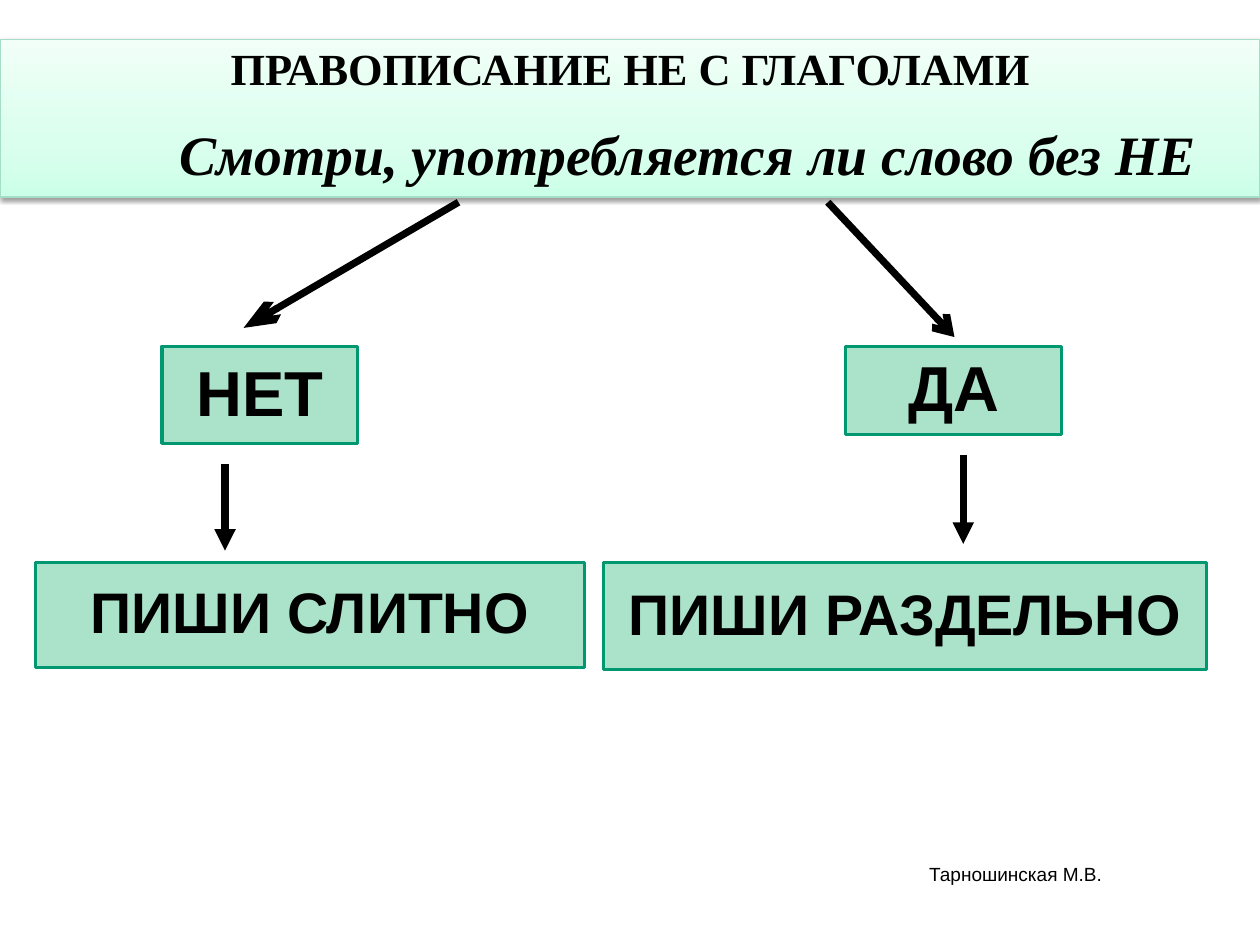
"""Spelling scheme: the particle НЕ with verbs, a two-way decision."""
from copy import deepcopy
from lxml import etree
from pptx import Presentation, util as u
from pptx.dml.color import RGBColor
from pptx.enum import shapes, text
from pptx.oxml import parse_xml
from pptx.oxml.ns import qn, nsdecls

THEME = dict(ink="000000", box="AAE2CA", edge="009771", banner_edge="A5DEC6",
             gradient=("CCFFE8", "DAFFEE", "F1FFF8"), sans="Arial", serif="Times New Roman",
             title=28, rule=35, answer=40, advice=36, author=12)

prs = Presentation()
prs.slide_width, prs.slide_height = u.Cm(28), u.Cm(21)
s = prs.slides.add_slide(prs.slide_layouts[6])


def share(*percents):
    """Turn alternating x and y percents of the slide into lengths."""
    return [round(v * side / 100) for v, side in zip(percents, (prs.slide_width, prs.slide_height) * 2)]


def style(p, size, font, bold=True, italic=False, align=text.PP_ALIGN.CENTER):
    """Format a paragraph and its runs."""
    p.alignment, p.line_spacing = align, 0.93
    for r in p.runs:
        f = r.font
        f.name, f.size, f.bold, f.italic = font, u.Pt(size), bold, italic
        f.color.rgb = RGBColor.from_string(THEME["ink"])


banner = s.shapes.add_shape(shapes.MSO_SHAPE.RECTANGLE, *share(0, 4.16, 100, 16.69))
banner.line.color.rgb = RGBColor.from_string(THEME["banner_edge"])
banner.line.width = u.Pt(0.75)
banner.fill.gradient()
banner.fill.gradient_angle = 90
first = banner._element.spPr.find(".//" + qn("a:gs"))
first.addnext(deepcopy(first))
for stop, position, color in zip(banner.fill.gradient_stops, (0, 0.35, 1), THEME["gradient"]):
    stop.position = position
    stop.color.rgb = RGBColor.from_string(color)
banner.shadow.inherit = False
banner._element.spPr.find(qn("a:effectLst")).append(parse_xml(
    f'<a:outerShdw {nsdecls("a")} blurRad="39370" dist="20320" dir="5400000" rotWithShape="0">'
    f'<a:srgbClr val="{THEME["ink"]}"><a:alpha val="38000"/></a:srgbClr></a:outerShdw>'))

tf = banner.text_frame
tf.vertical_anchor = text.MSO_ANCHOR.TOP
tf.margin_left = tf.margin_right = u.Inches(0.11)
tf.margin_top = tf.margin_bottom = u.Inches(0.06)
tf.text = "ПРАВОПИСАНИЕ НЕ С ГЛАГОЛАМИ\nСмотри, употребляется ли слово без НЕ"
title, rule = tf.paragraphs
style(title, THEME["title"], THEME["serif"])
style(rule, THEME["rule"], THEME["serif"], italic=True, align=text.PP_ALIGN.LEFT)
rule.space_before = u.Pt(19)
rule._p.get_or_add_pPr().set("marL", str(u.Inches(1.46)))

for label, size, place in (
        ("НЕТ", "answer", (12.86, 36.64, 15.52, 10.28)),
        ("ДА", "answer", (67.13, 36.64, 17.15, 9.35)),
        ("ПИШИ СЛИТНО", "advice", (2.81, 59.49, 43.56, 11.12)),
        ("ПИШИ РАЗДЕЛЬНО", "advice", (47.87, 59.49, 47.89, 11.37))):
    sp = s.shapes.add_shape(shapes.MSO_SHAPE.RECTANGLE, *share(*place))
    sp.shadow.inherit = False
    sp.fill.solid()
    sp.fill.fore_color.rgb = RGBColor.from_string(THEME["box"])
    sp.line.color.rgb = RGBColor.from_string(THEME["edge"])
    sp.line.width = u.Pt(2)
    sp.text_frame.text = label
    sp.text_frame.vertical_anchor = text.MSO_ANCHOR.MIDDLE
    style(sp.text_frame.paragraphs[0], THEME[size], THEME["sans"])

for head, length, ends in (
        ("arrow", "lg", (36.39, 21.4, 19.33, 34.7)),
        ("arrow", "med", (65.7, 21.4, 75.75, 35.67)),
        ("triangle", "med", (17.86, 49.09, 17.86, 58.28)),
        ("triangle", "med", (76.45, 48.1, 76.45, 57.56))):
    arrow = s.shapes.add_connector(shapes.MSO_CONNECTOR.STRAIGHT, *share(*ends))
    arrow.line.color.rgb = RGBColor.from_string(THEME["ink"])
    arrow.line.width = u.Pt(4.5)
    etree.SubElement(arrow.line._get_or_add_ln(), qn("a:tailEnd"), type=head, len=length)
    etree.SubElement(arrow._element.spPr, qn("a:effectLst"))

author = s.shapes.add_textbox(*share(72.85, 90.93, 15.7, 3.51))
author.text_frame.text = "Тарношинская М.В."
author.text_frame.word_wrap = False
style(author.text_frame.paragraphs[0], THEME["author"], THEME["sans"], bold=False,
      align=text.PP_ALIGN.LEFT)

prs.save("out.pptx")
